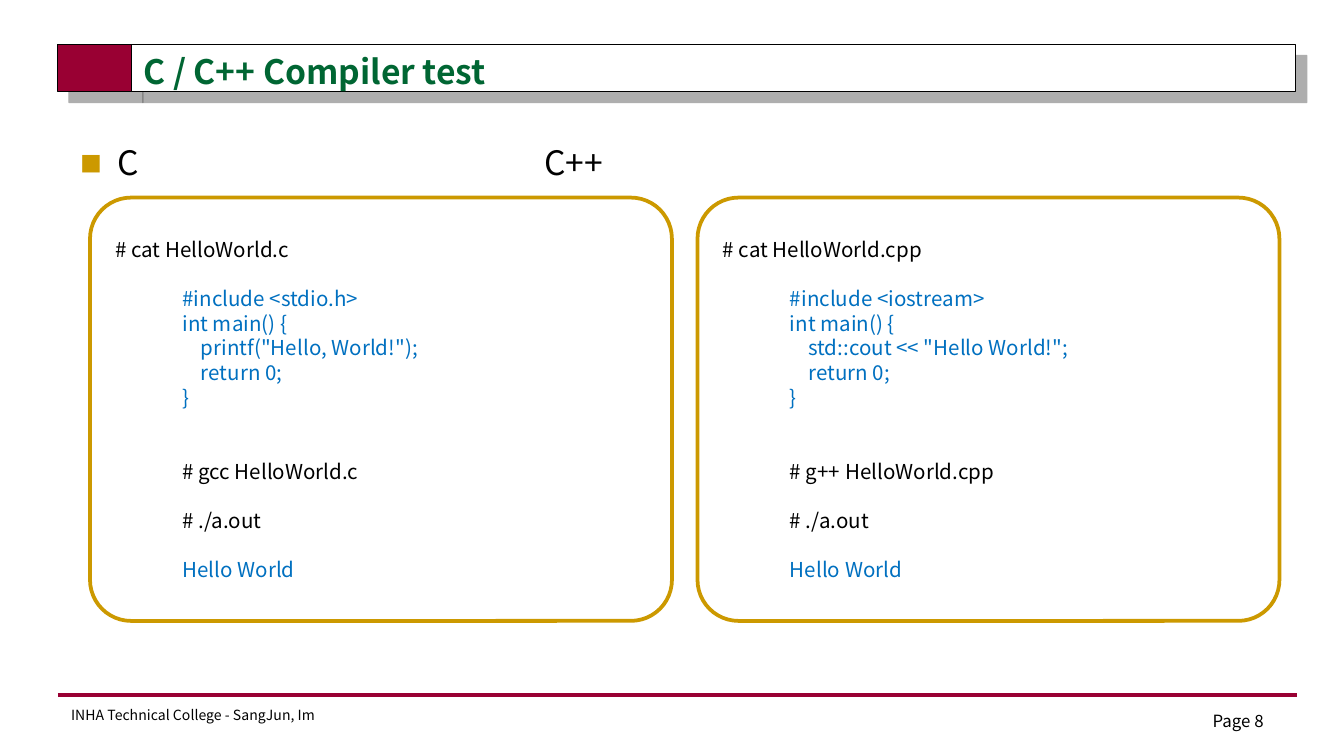
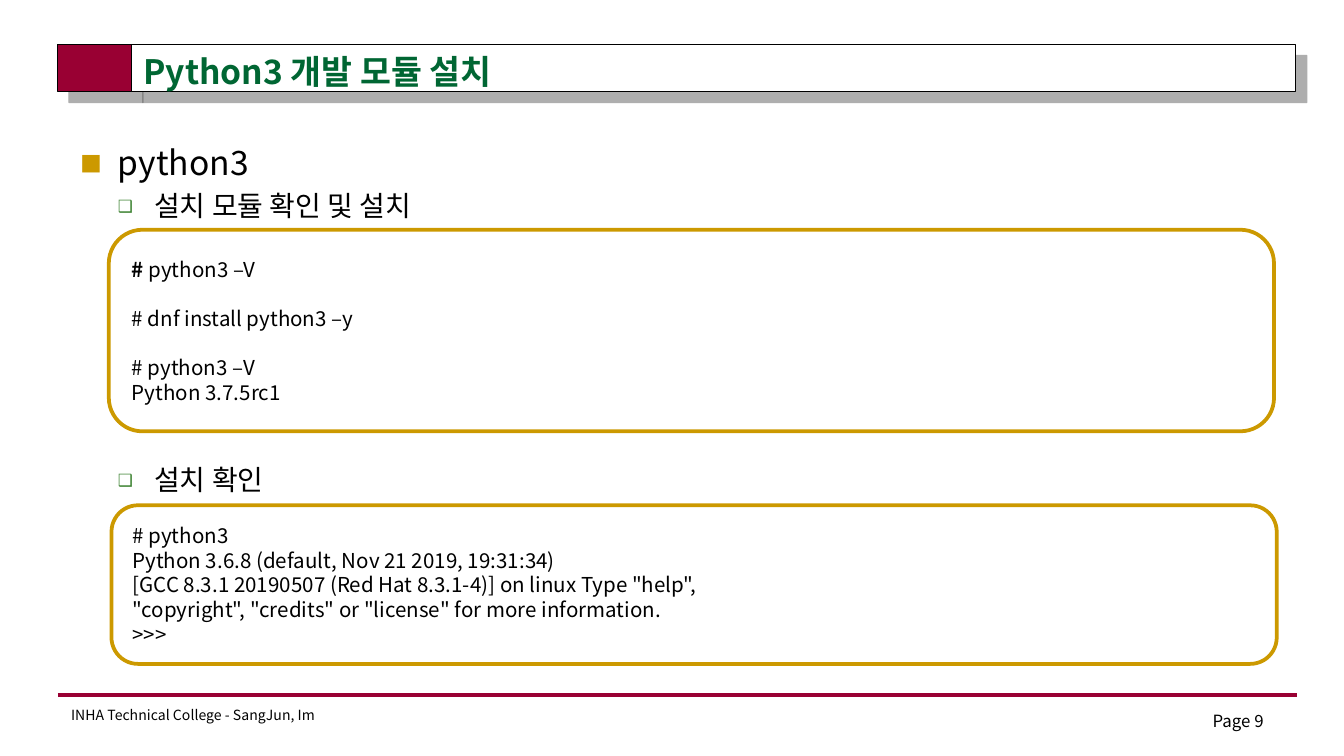
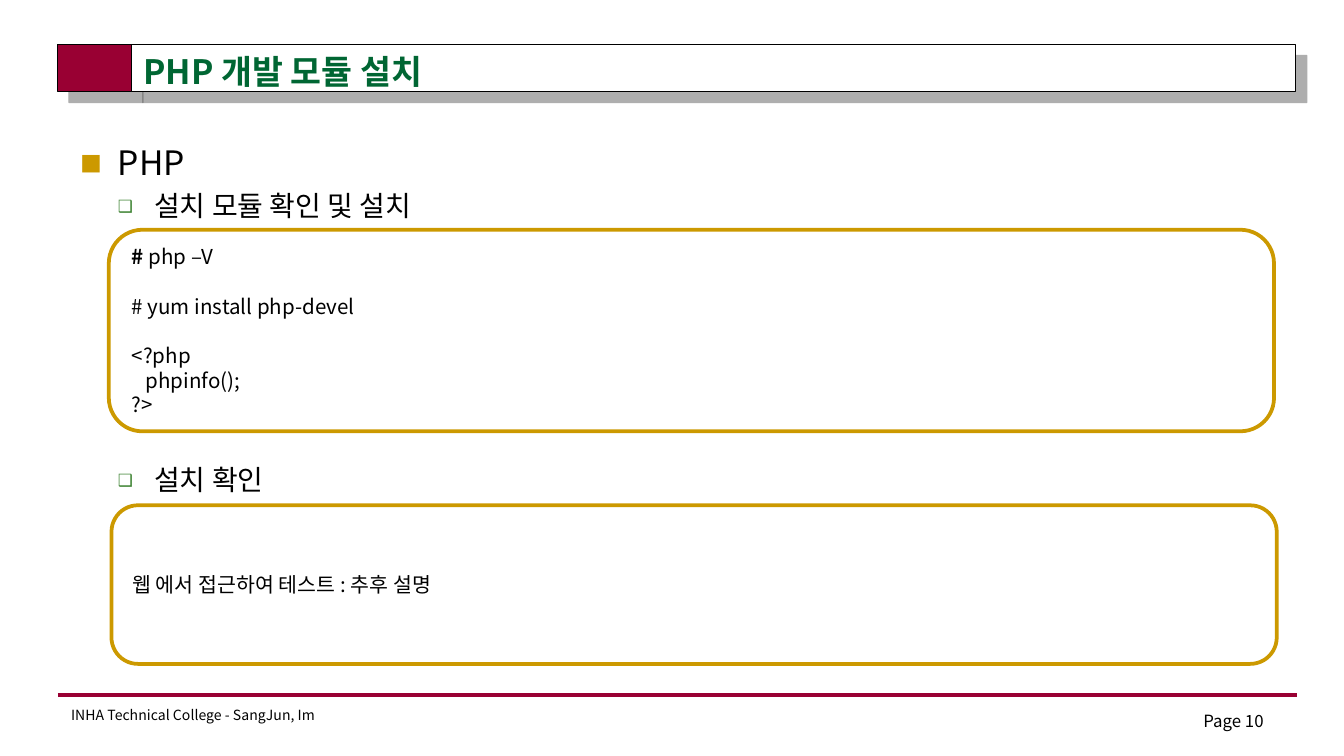
import pptx
import pptx.dml.color
import pptx.enum.shapes
import pptx.enum.text
import pptx.oxml
import pptx.oxml.ns
import pptx.util

MSO_SHAPE = pptx.enum.shapes.MSO_SHAPE
ANCHOR = pptx.enum.text.MSO_ANCHOR
ALIGN = pptx.enum.text.PP_ALIGN
NAMESPACE = pptx.oxml.ns.nsdecls("a")

COLORS = {
    "maroon": "990033",
    "gold": "CC9900",
    "green": "006633",
    "leaf": "3B812F",
    "blue": "0070C0",
    "black": "000000",
    "white": "FFFFFF",
    "shadow": "5F5F5F",
}
FONT = "Noto Sans CJK KR"
FOOTER = "INHA Technical College - SangJun, Im"
COLUMNS, ROWS = 100, 56.25
LINE_RATIO = 1.2
CODE_SIZE = 11
TOPIC = {"char": "■", "color": "gold", "percent": 65, "margin": 0.28, "hang": 0.28, "size": 18}
STEP = {"char": "❑", "color": "leaf", "percent": 60, "margin": 0.55, "hang": 0.27, "size": 15}

C_SESSION = """# cat HelloWorld.c

#include <stdio.h>
int main() {
    printf("Hello, World!");
    return 0;
}


# gcc HelloWorld.c

# ./a.out

Hello World"""

CPP_SESSION = """# cat HelloWorld.cpp

#include <iostream>
int main() {
    std::cout << "Hello World!";
    return 0;
}


# g++ HelloWorld.cpp

# ./a.out

Hello World"""

PYTHON_INSTALL = """# python3 –V

# dnf install python3 –y

# python3 –V
Python 3.7.5rc1"""

PYTHON_CHECK = """# python3
Python 3.6.8 (default, Nov 21 2019, 19:31:34)
[GCC 8.3.1 20190507 (Red Hat 8.3.1-4)] on linux Type "help",
"copyright", "credits" or "license" for more information.
>>>"""

PHP_INSTALL = """# php –V

# yum install php-devel

<?php
   phpinfo();
?>"""

PHP_CHECK = "웹 에서 접근하여 테스트 : 추후 설명"


def rgb(color):
    return pptx.dml.color.RGBColor.from_string(COLORS[color])


def element(markup):
    return pptx.oxml.parse_xml(markup.replace(" ", f" {NAMESPACE} ", 1))


class Deck:
    def __init__(self):
        self.presentation = pptx.Presentation()
        self.presentation.slide_width = pptx.util.Inches(10)
        self.presentation.slide_height = pptx.util.Inches(5.625)
        self.column = self.presentation.slide_width / COLUMNS
        self.row = self.presentation.slide_height / ROWS
        self.slide = None

    def place(self, left, top, width, height):
        return (round(left * self.column), round(top * self.row),
                round(width * self.column), round(height * self.row))

    def new_slide(self, title, page):
        self.slide = self.presentation.slides.add_slide(self.presentation.slide_layouts[6])
        self.band((4.3, 3.3, 5.5, 3.5), "maroon")
        self.band((9.8, 3.3, 86.6, 3.5), "white")
        self.rule(4.3, 96.5, 51.7)
        self.label((4.3, 52.1, 21.1, 2.3), FOOTER, 7.5)
        self.label((9.7, 3.3, 82.8, 4), title, 18, "green", bold=True, anchor=ANCHOR.MIDDLE)
        self.label((71.7, 52.3, 23.3, 2.6), f"Page {page}", 9, anchor=ANCHOR.BOTTOM, align=ALIGN.RIGHT)

    def shape(self, kind, box, fill, line, width):
        shape = self.slide.shapes.add_shape(kind, *self.place(*box))
        shape.shadow.inherit = False
        shape.fill.solid()
        shape.fill.fore_color.rgb = rgb(fill)
        shape.line.color.rgb = rgb(line)
        shape.line.width = pptx.util.Pt(width)
        return shape

    def band(self, box, fill):
        band = self.shape(MSO_SHAPE.RECTANGLE, box, fill, "black", 0.75)
        effects = band._element.spPr.find(pptx.oxml.ns.qn("a:effectLst"))
        effects.append(element(
            f'<a:outerShdw dist="{pptx.util.Pt(8.5)}" dir="2700000" algn="ctr" rotWithShape="0">'
            f'<a:srgbClr val="{COLORS["shadow"]}"><a:alpha val="50000"/></a:srgbClr></a:outerShdw>'))

    def rule(self, start, end, row):
        left, top, right, _ = self.place(start, row, end, 0)
        rule = self.slide.shapes.add_connector(
            pptx.enum.shapes.MSO_CONNECTOR.STRAIGHT, left, top, right, top)
        rule.line.color.rgb = rgb("maroon")
        rule.line.width = pptx.util.Pt(2.25)
        rule._element.spPr.append(element("<a:effectLst />"))

    def frame(self, box, anchor=ANCHOR.TOP):
        frame = self.slide.shapes.add_textbox(*self.place(*box)).text_frame
        frame.word_wrap = True
        frame.vertical_anchor = anchor
        return frame

    def run(self, paragraph, text, size, color="black", bold=False):
        run = paragraph.add_run()
        run.text = text
        run.font.size = pptx.util.Pt(size)
        run.font.name = FONT
        run.font.bold = bold
        run.font.color.rgb = rgb(color)
        run._r.rPr.find(pptx.oxml.ns.qn("a:latin")).addnext(
            element(f'<a:ea typeface="{FONT}"/>'))
        paragraph.line_spacing = pptx.util.Pt(size * LINE_RATIO)

    def label(self, box, text, size, color="black", bold=False, anchor=ANCHOR.TOP, align=ALIGN.LEFT):
        paragraph = self.frame(box, anchor).paragraphs[0]
        paragraph.alignment = align
        self.run(paragraph, text, size, color, bold)

    def bullet(self, paragraph, text, style, gap=0, tab=None):
        properties = paragraph._p.get_or_add_pPr()
        properties.set("marL", str(pptx.util.Inches(style["margin"])))
        properties.set("indent", str(-pptx.util.Inches(style["hang"])))
        marks = [
            f'<a:buClr ><a:srgbClr val="{COLORS[style["color"]]}"/></a:buClr>',
            f'<a:buSzPct val="{style["percent"] * 1000}"/>',
            f'<a:buFont typeface="{FONT}"/>',
            f'<a:buChar char="{style["char"]}"/>',
        ]
        if tab:
            marks.append(f'<a:tabLst ><a:tab pos="{pptx.util.Inches(tab)}" algn="l"/></a:tabLst>')
        for mark in marks:
            properties.append(element(mark))
        if gap:
            paragraph.space_before = pptx.util.Pt(gap)
        self.run(paragraph, text, style["size"])

    def outline(self, topic, steps=(), tab=None):
        frame = self.frame((5, 10.1, 90, 41))
        self.bullet(frame.paragraphs[0], topic, TOPIC, tab=tab)
        for step, gap in steps:
            self.bullet(frame.add_paragraph(), step, STEP, gap)

    def terminal(self, box, session, radius=None, indent=0, reply="black", bold_prompt=False):
        panel = self.shape(MSO_SHAPE.ROUNDED_RECTANGLE, box, "white", "gold", 2)
        if radius:
            panel.adjustments[0] = radius
        frame = panel.text_frame
        frame.word_wrap = True
        frame.vertical_anchor = ANCHOR.MIDDLE
        paragraph, skipped = frame.paragraphs[0], 0
        for number, line in enumerate(session.split("\n")):
            if not line:
                skipped += 1
                continue
            if number:
                paragraph = frame.add_paragraph()
                paragraph._p.get_or_add_pPr().set("marL", str(pptx.util.Inches(indent)))
            paragraph.alignment = ALIGN.LEFT
            if skipped:
                paragraph.space_before = pptx.util.Pt(skipped * CODE_SIZE * LINE_RATIO)
            skipped = 0
            if bold_prompt and number == 0:
                self.run(paragraph, line[0], CODE_SIZE, bold=True)
                line = line[1:]
            color = "black" if line.startswith("# ") else reply
            self.run(paragraph, line, CODE_SIZE, color)

    def install_slide(self, title, page, topic, install, check):
        self.new_slide(title, page)
        self.outline(topic, [("설치 모듈 확인 및 설치", 3), ("설치 확인", 129)])
        self.terminal((8.1, 17.1, 86.7, 15), install, bold_prompt=True)
        self.terminal((8.3, 37.6, 86.7, 11.8), check)


def main():
    deck = Deck()
    deck.new_slide("C / C++ Compiler test", 8)
    deck.outline("C\tC++", tab=3.45)
    for position, session in enumerate((C_SESSION, CPP_SESSION)):
        deck.terminal((6.7 + 45.2 * position, 14.7, 43.3, 31.5), session,
                      radius=0.097, indent=0.5, reply="blue")
    deck.install_slide("Python3 개발 모듈 설치", 9, "python3", PYTHON_INSTALL, PYTHON_CHECK)
    deck.install_slide("PHP 개발 모듈 설치", 10, "PHP", PHP_INSTALL, PHP_CHECK)
    deck.presentation.save("out.pptx")


if __name__ == "__main__":
    main()
